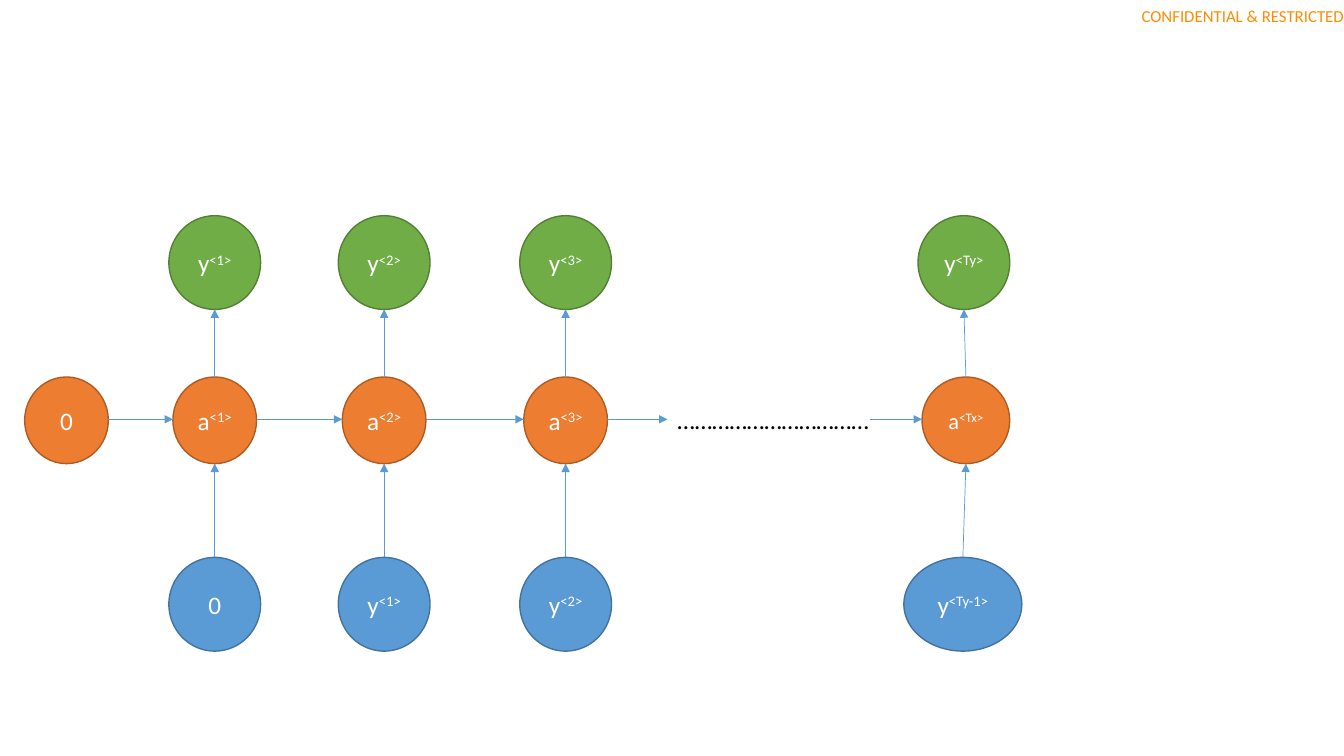
from pptx import Presentation
from pptx.dml.color import RGBColor
from pptx.enum.shapes import MSO_CONNECTOR as Conn, MSO_SHAPE as Shape
from pptx.enum.text import MSO_ANCHOR as Anchor, PP_ALIGN as Align
from pptx.oxml.ns import qn
from pptx.util import Inches, Pt
from lxml.etree import SubElement


def rgb(value):
    """Turn a hex string into a colour."""
    return RGBColor.from_string(value)


class Diagram:
    """Style of the network diagram and the slide it is drawn on."""

    font = "Calibri"
    arrow_color = "5B9BD5"
    outputs = ("70AD47", "538035")
    states = ("ED7D31", "AF5C24")
    inputs = ("5B9BD5", "43739E")

    def __init__(self, slide):
        """Keep the slide to draw on."""
        self.slide = slide

    def style(self, run, size, color):
        """Set the font of a run."""
        run.font.name = self.font
        run.font.size = Pt(size)
        run.font.color.rgb = rgb(color)

    def text(self, x, y, w, h, text, size, color, align=Align.LEFT, margin=None):
        """Add a text box with one line of text."""
        sp = self.slide.shapes.add_textbox(Inches(x), Inches(y), Inches(w), Inches(h))
        tf = sp.text_frame
        tf.word_wrap = True
        tf.text = text
        if margin is not None:
            tf.margin_left = tf.margin_right = Inches(margin)
            tf.margin_top = tf.margin_bottom = Inches(margin)
            tf.vertical_anchor = Anchor.MIDDLE
        p = tf.paragraphs[0]
        p.alignment = align
        self.style(p.runs[0], size, color)
        return sp

    def node(self, center, y, w, h, colors, base, index="", size=18):
        """Add a circle labelled with a base and a raised index."""
        sp = self.slide.shapes.add_shape(
            Shape.OVAL, Inches(center - w / 2), Inches(y), Inches(w), Inches(h))
        sp.shadow.inherit = False
        fill, line = colors
        sp.fill.solid()
        sp.fill.fore_color.rgb = rgb(fill)
        sp.line.color.rgb = rgb(line)
        sp.line.width = Pt(1)
        tf = sp.text_frame
        tf.word_wrap = False
        tf.vertical_anchor = Anchor.MIDDLE
        p = tf.paragraphs[0]
        p.alignment = Align.CENTER
        for part in filter(None, (base, index)):
            r = p.add_run()
            r.text = part
            self.style(r, size, "FFFFFF")
            if part == index:
                r.font._element.set("baseline", "30000")
        return sp

    def arrow(self, x1, y1, x2, y2):
        """Add a thin line with an arrowhead at its end."""
        line = self.slide.shapes.add_connector(Conn.STRAIGHT, x1, y1, x2, y2)
        line.line.color.rgb = rgb(self.arrow_color)
        line.line.width = Pt(0.5)
        SubElement(line.line._get_or_add_ln(), qn("a:tailEnd"), type="triangle")
        SubElement(line._element.spPr, qn("a:effectLst"))

    def arrow_up(self, lower, upper):
        """Point from the top of one node to the bottom of another."""
        self.arrow(lower.left + lower.width // 2, lower.top,
                   upper.left + upper.width // 2, upper.top + upper.height)


prs = Presentation()
prs.slide_width, prs.slide_height = Inches(13.33), Inches(7.5)
d = Diagram(prs.slides.add_slide(prs.slide_layouts[6]))

d.text(10.94, 0, 2.39, 0.32, "CONFIDENTIAL & RESTRICTED", 12, "FF8C00",
       Align.RIGHT, margin=0)
dots = d.text(6.62, 3.96, 2.34, 0.4, "…" * 11, 18, "000000")

OUTPUT_Y, STATE_Y, INPUT_Y = 2.14, 3.74, 5.53
NODE_W, NODE_H, STATE_W, STATE_H = 0.91, 0.93, 0.83, 0.86

# Centres of output, state and input; output and state index; input label;
# state width and text size; input width
regular = (STATE_W, 18, NODE_W)
steps = [
    ((2.13, 2.13, 2.13), "<1>", "<1>", ("0", ""), *regular),
    ((3.81, 3.81, 3.81), "<2>", "<2>", ("y", "<1>"), *regular),
    ((5.61, 5.61, 5.61), "<3>", "<3>", ("y", "<2>"), *regular),
    ((9.56, 9.58, 9.55), "<Ty>", "<Tx>", ("y", "<Ty-1>"), 0.87, 16, 1.17),
]

chain = [d.node(0.66, STATE_Y, STATE_W, STATE_H, d.states, "0")]
for centers, out_index, state_index, label, state_w, state_size, input_w in steps:
    out_x, state_x, input_x = centers
    output = d.node(out_x, OUTPUT_Y, NODE_W, NODE_H, d.outputs, "y", out_index)
    state = d.node(state_x, STATE_Y, state_w, STATE_H, d.states, "a", state_index,
                   state_size)
    source = d.node(input_x, INPUT_Y, input_w, NODE_H, d.inputs, *label)
    d.arrow_up(source, state)
    d.arrow_up(state, output)
    chain.append(state)

*first_states, last_state = chain
ends = [sp.left for sp in first_states[1:]] + [dots.left, last_state.left]
starts = [sp.left + sp.width for sp in first_states] + [Inches(8.63)]
flow_y = Inches(4.16)
for start, end in zip(starts, ends):
    d.arrow(start, flow_y, end, flow_y)

prs.save("out.pptx")
